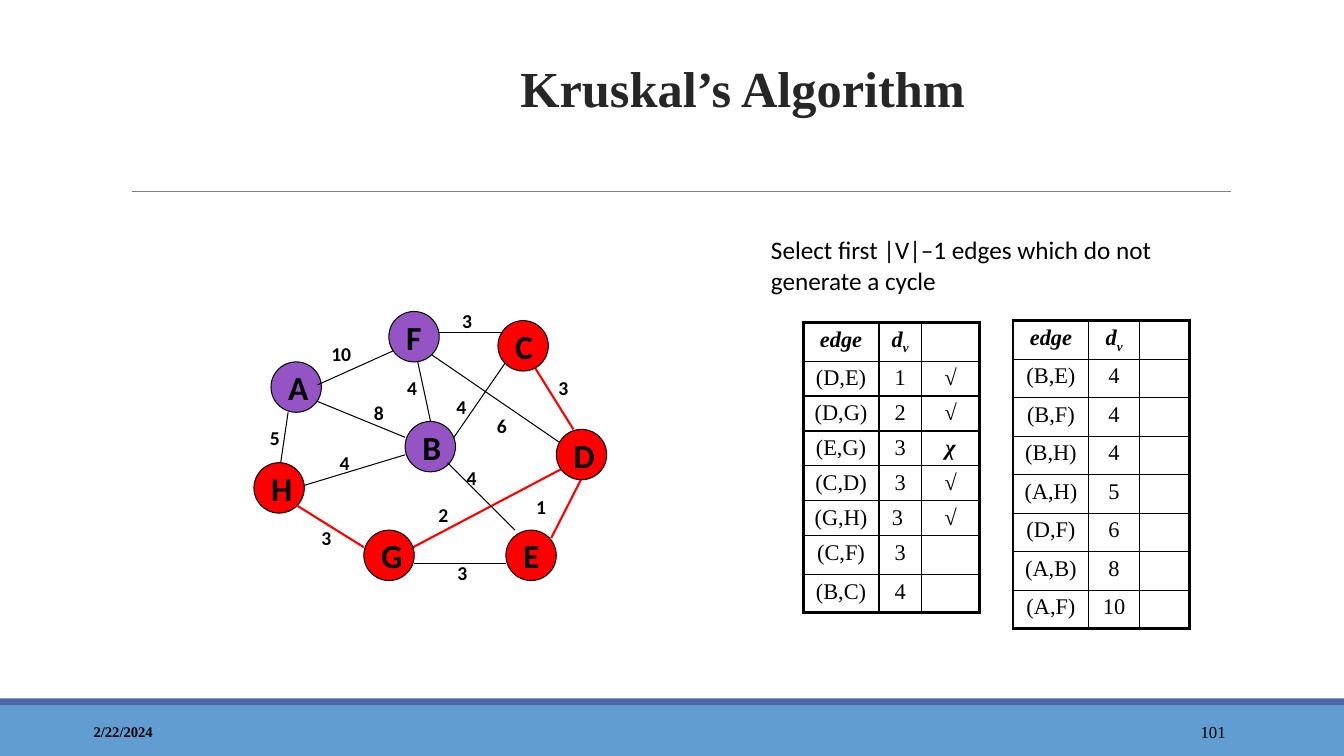
from lxml.etree import SubElement
from pptx import Presentation
from pptx.dml.color import RGBColor
from pptx.enum.shapes import MSO_CONNECTOR, MSO_SHAPE
from pptx.enum.text import MSO_ANCHOR, PP_ALIGN
from pptx.oxml.ns import qn
from pptx.util import Cm, Pt

SERIF = "Times New Roman"
SANS = "Calibri"
BLACK = "000000"
RED = "FF0000"
PURPLE = "9454C3"
NODE_SIZE = 1.27

# Lengths are in centimetres.
NODES = [
    ("A", 6.83, 9.12, PURPLE),
    ("H", 6.4, 11.66, RED),
    ("B", 10.21, 10.62, PURPLE),
    ("F", 9.8, 7.85, PURPLE),
    ("E", 12.75, 13.36, RED),
    ("D", 14.02, 10.82, RED),
    ("C", 12.55, 8.08, RED),
    ("G", 9.17, 13.36, RED),
]

# Each edge: start, end, weight, corner of the weight label, whether selected.
EDGES_BEHIND_NODES = [
    ((7.04, 11.89), (7.26, 10.39), "5", (6.55, 10.62), False),
    ((14.96, 11.46), (13.89, 13.56), "1", (13.26, 12.34), True),
    ((10.44, 8.71), (10.85, 10.62), "4", (10.01, 9.35), False),
    ((11.28, 11.25), (12.75, 9.12), "4", (11.25, 9.83), False),
    ((14.25, 11.25), (10.85, 8.92), "6", (12.27, 10.31), False),
    ((7.47, 12.29), (10.21, 11.25 + 0.21), "4", (8.31, 11.25), False),
    ((10.01, 14), (14.45, 11.66), "2", (10.8, 12.55), True),
    ((7.67, 9.98), (10.21, 11.02), "8", (9.17, 9.98), False),
    ((10.97, 8.38), (12.67, 8.38), "3", (11.4, 7.65), False),
    ((13.39, 9.12), (14.45, 10.82), "3", (13.82, 9.35), True),
]
EDGES_OVER_NODES = [
    ((11.28, 11.66), (12.98, 13.36), "4", (11.51, 11.61), False),
    ((12.75, 14.2), (10.44, 14.2), "3", (11.28, 14), False),
    ((9.17, 13.79), (7.47, 12.73), "3", (7.85, 13.13), True),
    ((8, 9.7), (9.91, 8.84), "10", (8.1, 8.48), False),
]

FIRST_EDGES = [
    ("(D,E)", "1", "√"), ("(D,G)", "2", "√"), ("(E,G)", "3", "χ"),
    ("(C,D)", "3", "√"), ("(G,H)", "3 ", "√"), ("(C,F)", "3", ""),
    ("(B,C)", "4", ""),
]
LAST_EDGES = [
    ("(B,E)", "4", ""), ("(B,F)", "4", ""), ("(B,H)", "4", ""),
    ("(A,H)", "5", ""), ("(D,F)", "6", ""), ("(A,B)", "8", ""),
    ("(A,F)", "10", ""),
]


def color(hex_string):
    return RGBColor.from_string(hex_string)


def write(frame, text, size=14, font=SANS, fill=BLACK, bold=False, italic=False,
          align=PP_ALIGN.LEFT, anchor=MSO_ANCHOR.TOP, subscript=""):
    """Fill a text frame with one paragraph and return that paragraph."""
    frame.word_wrap = True
    frame.vertical_anchor = anchor
    paragraph = frame.paragraphs[0]
    paragraph.alignment = align
    for part in filter(None, (text, subscript)):
        run = paragraph.add_run()
        run.text = part
        run.font.size = Pt(size)
        run.font.name = font
        run.font.bold = bold
        run.font.italic = italic
        run.font.color.rgb = color(fill)
    if subscript:
        run._r.get_or_add_rPr().set("baseline", "-25000")
    return paragraph


def add_text(slide, left, top, width, height, text, **text_format):
    box = slide.shapes.add_textbox(Cm(left), Cm(top), Cm(width), Cm(height))
    write(box.text_frame, text, **text_format)


def add_line(slide, start, end, stroke, width):
    line = slide.shapes.add_connector(
        MSO_CONNECTOR.STRAIGHT, *(Cm(value) for value in (*start, *end)))
    line.line.color.rgb = color(stroke)
    line.line.width = Pt(width)
    SubElement(line._element.spPr, qn("a:effectLst"))


def add_filled_shape(slide, kind, left, top, width, height, fill):
    shape = slide.shapes.add_shape(kind, Cm(left), Cm(top), Cm(width), Cm(height))
    shape.shadow.inherit = False
    shape.fill.solid()
    shape.fill.fore_color.rgb = color(fill)
    shape.line.fill.background()
    return shape


def add_node(slide, name, left, top, fill):
    node = add_filled_shape(slide, MSO_SHAPE.OVAL, left, top, NODE_SIZE, NODE_SIZE, fill)
    node.line.color.rgb = color(BLACK)
    node.line.width = Pt(0.75)
    write(node.text_frame, name, size=24, bold=True, anchor=MSO_ANCHOR.MIDDLE)


def add_edge(slide, start, end, weight, label_corner, selected):
    add_line(slide, start, end, RED if selected else BLACK, 1.5 if selected else 0.75)
    add_text(slide, *label_corner, 0.84 if len(weight) == 1 else 1.32, 0.84,
             weight, bold=True)


def set_borders(cell, widths):
    properties = cell._tc.get_or_add_tcPr()
    for side, width in widths.items():
        border = SubElement(properties, qn(f"a:ln{side}"), w=str(Pt(width)))
        fill = SubElement(border, qn("a:solidFill"))
        SubElement(fill, qn("a:srgbClr"), val=BLACK)


def add_edge_table(slide, left, top, column_widths, edges):
    rows = [("edge", "d", ""), *edges]
    heights = [0.88 if row[2] else 0.97 for row in rows]
    table = slide.shapes.add_table(
        len(rows), len(column_widths), Cm(left), Cm(top),
        Cm(sum(column_widths)), Cm(sum(heights))).table
    table.first_row = table.horz_banding = False
    for column, width in zip(table.columns, column_widths):
        column.width = Cm(width)
    last_row, last_column = len(rows) - 1, len(column_widths) - 1
    for i, row in enumerate(rows):
        table.rows[i].height = Cm(heights[i])
        for j, text in enumerate(row):
            cell = table.cell(i, j)
            cell.margin_top = Cm(0.12 if text else 0)
            cell.margin_bottom = Cm(0)
            emphasis = i == 0 or j == last_column
            write(cell.text_frame, text, size=16, font=SERIF, bold=emphasis,
                  italic=emphasis, align=PP_ALIGN.CENTER,
                  subscript="v" if text == "d" else "")
            outer = {"L": j == 0, "R": j == last_column, "T": i == 0, "B": i == last_row}
            set_borders(cell, {side: 2.25 if edge else 1 for side, edge in outer.items()})
            cell.fill.background()


def add_title(slide, text):
    title = slide.shapes.title
    title.left, title.top, title.width, title.height = map(Cm, (4.75, 0.33, 27.94, 2.77))
    paragraph = write(title.text_frame, text, size=36, font=SERIF, fill="262626",
                      bold=True, align=PP_ALIGN.CENTER, anchor=MSO_ANCHOR.BOTTOM)
    paragraph.line_spacing = 1.1


def add_frame(slide):
    """Draw the title rule and the footer band with date and page number."""
    add_filled_shape(slide, MSO_SHAPE.RECTANGLE, 0, 17.78, 33.87, 1.27, "629DD1")
    add_filled_shape(slide, MSO_SHAPE.RECTANGLE, 0, 17.6, 33.87, 0.18, "4A66AC")
    add_line(slide, (3.33, 4.83), (31.01, 4.83), "7F7F7F", 0.75)
    add_text(slide, 2.11, 17.93, 7.62, 1.02, "2/22/2024", size=10.5, font=SERIF,
             bold=True, anchor=MSO_ANCHOR.MIDDLE)
    add_text(slide, 27.51, 17.93, 3.63, 1.02, "101", size=12, font=SERIF,
             align=PP_ALIGN.RIGHT, anchor=MSO_ANCHOR.MIDDLE)


def main():
    presentation = Presentation()
    presentation.slide_width, presentation.slide_height = Cm(33.87), Cm(19.05)
    slide = presentation.slides.add_slide(presentation.slide_layouts[5])
    add_title(slide, "Kruskal’s Algorithm")
    add_frame(slide)
    add_text(slide, 19.18, 5.79, 11.23, 1.96,
             "Select first |V|–1 edges which do not generate a cycle", size=18)
    add_edge_table(slide, 20.24, 8.13, (1.91, 1.07, 1.47), FIRST_EDGES)
    add_edge_table(slide, 25.53, 8.08, (1.91, 1.27, 1.27), LAST_EDGES)
    for edge in EDGES_BEHIND_NODES:
        add_edge(slide, *edge)
    for node in NODES:
        add_node(slide, *node)
    for edge in EDGES_OVER_NODES:
        add_edge(slide, *edge)
    presentation.save("out.pptx")


if __name__ == "__main__":
    main()
